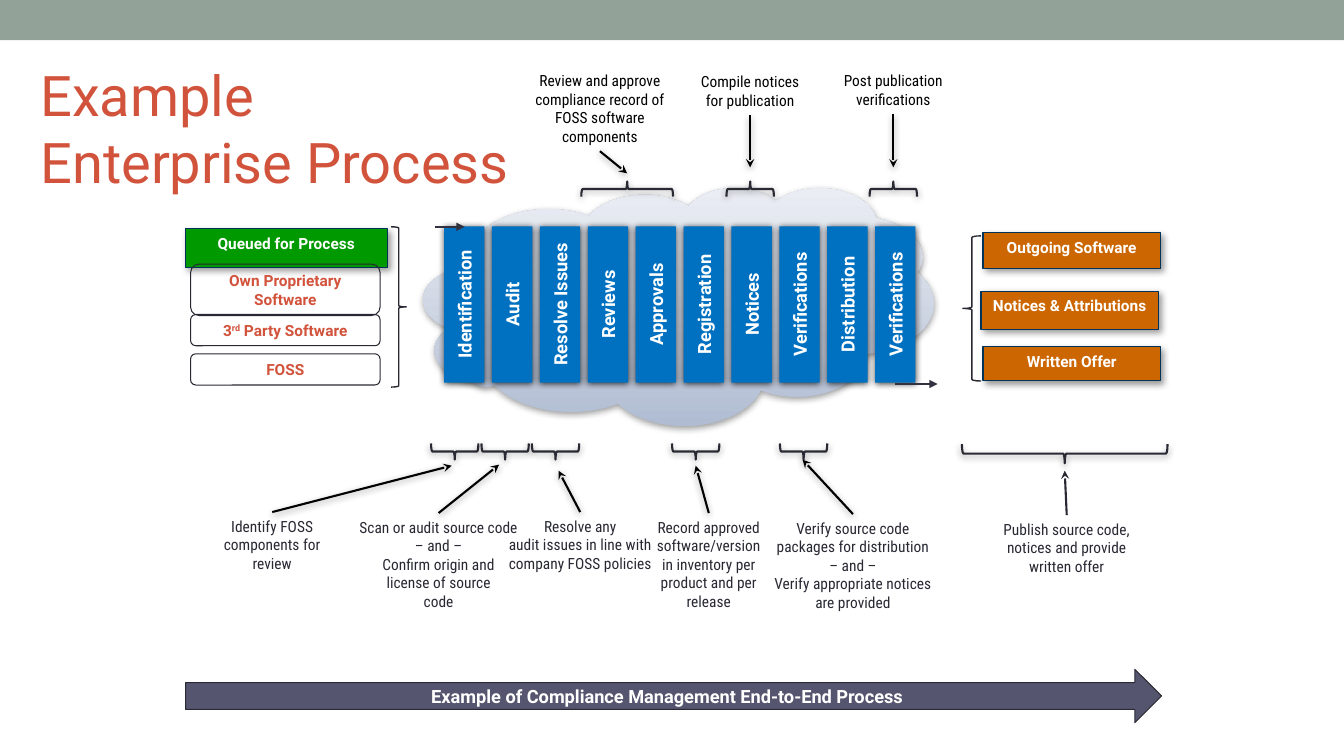
from copy import deepcopy
from lxml import etree
from pptx import Presentation
from pptx.dml.color import RGBColor
from pptx.enum.shapes import MSO_CONNECTOR, MSO_SHAPE
from pptx.enum.text import MSO_ANCHOR, MSO_AUTO_SIZE, PP_ALIGN
from pptx.oxml.ns import qn
from pptx.util import Inches, Pt

TOP, MIDDLE = MSO_ANCHOR.TOP, MSO_ANCHOR.MIDDLE
LEFT, CENTER = PP_ALIGN.LEFT, PP_ALIGN.CENTER
RECT, ROUNDED = MSO_SHAPE.RECTANGLE, MSO_SHAPE.ROUNDED_RECTANGLE
LEFT_BRACE, RIGHT_BRACE = MSO_SHAPE.LEFT_BRACE, MSO_SHAPE.RIGHT_BRACE
CLOUD, BLOCK_ARROW = MSO_SHAPE.CLOUD_CALLOUT, MSO_SHAPE.RIGHT_ARROW
STRAIGHT, NO_FIT = MSO_CONNECTOR.STRAIGHT, MSO_AUTO_SIZE.NONE
NOTE_TOP, NOTE_BOTTOM = 0, 2

THEME = {
    "band": "93A299", "accent": "D2533C", "ink": "292934", "black": "000000",
    "white": "FFFFFF", "queue": "009900", "output": "CC6600", "edge": "003359",
    "step": "0070C0", "flow": "31313F", "summary": "55556F",
    "cloud": [(0, "B0BCD2"), (0.35, "C8D0DF"), (1, "EAEDF3")],
    "face": "Roboto", "narrow": "Roboto Condensed",
    "title": 40, "heading": 13, "body": 11,
    "box_shadow": (40, 5, 3, 45), "soft_shadow": (38, 5, 1.6, 90),
    "step_shadow": (75, 5, 1, 90),
}
CELL = Inches(0.1)

deck = Presentation()
deck.slide_width, deck.slide_height = Inches(13.33), Inches(7.5)
slide = deck.slides.add_slide(deck.slide_layouts[5])


def draw(kind, box, fill=None, line=None, weight=0.75, shadow=None):
    edges = [int(cells * CELL) for cells in box]
    if kind is STRAIGHT:
        part = slide.shapes.add_connector(kind, *edges)
    else:
        part = slide.shapes.add_shape(kind, *edges)
        if fill:
            part.fill.solid()
            part.fill.fore_color.rgb = RGBColor.from_string(THEME[fill])
        else:
            part.fill.background()
    if line:
        part.line.color.rgb = RGBColor.from_string(THEME[line])
        part.line.width = Pt(weight)
    else:
        part.line.fill.background()
    properties = part._element.spPr
    if kind is STRAIGHT:
        etree.SubElement(properties.find(qn("a:ln")), qn("a:tailEnd"), type="triangle")
    effects = etree.SubElement(properties, qn("a:effectLst"))
    if shadow:
        alpha, blur, distance, angle = THEME[shadow]
        outer = etree.SubElement(
            effects, qn("a:outerShdw"), blurRad=str(Pt(blur)), dist=str(Pt(distance)),
            dir=str(angle * 60000), algn="ctr", rotWithShape="0")
        tint = etree.SubElement(outer, qn("a:srgbClr"), val=THEME["black"])
        etree.SubElement(tint, qn("a:alpha"), val=str(alpha * 1000))
    return part


def write(part, text, colour, size="body", face="face", bold=True,
          anchor=TOP, align=CENTER, margin=0.09):
    frame = part.text_frame
    frame.word_wrap = True
    frame.auto_size = NO_FIT
    frame.vertical_anchor = anchor
    frame.margin_left = frame.margin_right = Inches(margin)
    frame.margin_top = frame.margin_bottom = Inches(0.05)
    frame.text = text
    for paragraph in frame.paragraphs:
        paragraph.alignment = align
        pieces = paragraph.text.split("^")
        paragraph.text = pieces[0]
        for piece in pieces[1:]:
            paragraph.add_run().text = piece
        for order, run in enumerate(paragraph.runs):
            run.font.name = THEME[face]
            run.font.size = Pt(THEME[size])
            run.font.bold = bold
            run.font.color.rgb = RGBColor.from_string(THEME[colour])
            if order % 2:
                run._r.get_or_add_rPr().set("baseline", "30000")


draw(RECT, (0, 0, 133.3, 4), "band")

title = slide.shapes.title
title.left, title.top, title.width, title.height = (
    int(cells * CELL) for cells in (3, 5.5, 49.5, 16.9))
write(title, "Example Enterprise Process", "accent", "title",
      bold=False, align=LEFT, margin=0.1)

queue = draw(RECT, (18.4, 22.7, 20, 3.8), "queue", "edge", shadow="box_shadow")
write(queue, "Queued for Process", "white")

cloud = draw(CLOUD, (42, 18.6, 50.6, 23.6), shadow="soft_shadow")
cloud.adjustments[0], cloud.adjustments[1] = -0.28, 0.19
cloud.fill.gradient()
cloud.fill.gradient_angle = 90
stops = cloud._element.spPr.find(".//" + qn("a:gsLst"))
stops.insert(1, deepcopy(stops[0]))
for stop, (position, shade) in zip(cloud.fill.gradient_stops, THEME["cloud"]):
    stop.position = position
    stop.color.rgb = RGBColor.from_string(shade)

steps = ["Identification", "Audit", "Resolve Issues", "Reviews", "Approvals",
         "Registration", "Notices", "Verifications", "Distribution", "Verifications"]
for order, name in enumerate(steps):
    step = draw(RECT, (38.3 + 4.75 * order, 28.2, 15.5, 4), "step", shadow="step_shadow")
    step.rotation = 270
    write(step, name, "white", "heading", anchor=MIDDLE)

for name, top, height in [("Own Proprietary Software", 26.2, 5.1),
                          ("3^rd^ Party Software", 31.2, 3.1),
                          ("FOSS", 35.1, 3.1)]:
    source = draw(ROUNDED, (18.9, top, 18.8, height), line="ink")
    write(source, name, "accent", anchor=MIDDLE)

for name, left, top, height in [("Outgoing Software", 97.5, 23.1, 3.5),
                                ("Notices & Attributions", 97.3, 28.9, 3.8),
                                ("Written Offer", 97.5, 34.4, 3.4)]:
    output = draw(RECT, (left, top, 17.6, height), "output", "edge", shadow="box_shadow")
    write(output, name, "white")

for start, end, row in [(43.1, 46.1, 22.5), (88.8, 93, 38.1)]:
    draw(STRAIGHT, (start, row, end, row), line="flow", weight=1.5)

draw(LEFT_BRACE, (95.5, 23.4, 1.8, 14.4), line="ink", weight=1)
draw(RIGHT_BRACE, (38.8, 22.5, 1.5, 15.9), line="ink", weight=1)

braces = [(RIGHT_BRACE, middle, 44.8, 4.7, 1.6) for middle in (45.1, 50.1, 55.1, 69, 79.7)]
braces += [(RIGHT_BRACE, 105.6, 45, 20.4, 1.9), (LEFT_BRACE, 62.2, 18.75, 9.1, 1.5),
           (LEFT_BRACE, 74.4, 18.75, 4.7, 1.5), (LEFT_BRACE, 88.6, 18.75, 4.7, 1.5)]
for kind, middle, row, span, depth in braces:
    brace = draw(kind, (middle - depth / 2, row - span / 2, depth, span),
                 line="ink", weight=1.5, shadow="soft_shadow")
    brace.rotation = 90

notes = [
    ("Identify FOSS components for review",
     (21, 50.8, 12, 6.6), (44.8, 46.2), NOTE_TOP),
    ("Scan or audit source code\n– and –\nConfirm origin and\nlicense of source\ncode",
     (34.4, 50.9, 18.2, 10.3), (49.5, 46.1), NOTE_TOP),
    ("Resolve any\naudit issues in line with\ncompany FOSS policies",
     (49.4, 50.8, 16.3, 6.6), (55.4, 46.7), NOTE_TOP),
    ("Record approved\nsoftware/version\nin inventory per\nproduct and per\nrelease",
     (64, 50.9, 12.6, 12.1), (69, 46.2), NOTE_TOP),
    ("Verify source code packages for distribution\n– and –\n"
     "Verify appropriate notices are provided",
     (75.8, 51, 17.6, 12.1), (79.6, 45.6), NOTE_TOP),
    ("Publish source code,\nnotices and provide written offer",
     (97, 51.1, 17.6, 6.6), (105.6, 46.7), NOTE_TOP),
    ("Review and approve\ncompliance record of FOSS software components",
     (50.9, 6.6, 17.2, 8.4), (62.2, 17.2), NOTE_BOTTOM),
    ("Compile notices\nfor publication",
     (65.8, 6.7, 17.2, 4.7), (74.4, 16.6), NOTE_BOTTOM),
    ("Post publication\nverifications",
     (80, 6.6, 17.2, 4.7), (88.6, 16.6), NOTE_BOTTOM),
]
for text, box, tip, side in notes:
    note = slide.shapes.add_textbox(*(int(cells * CELL) for cells in box))
    write(note, text, "ink" if side == NOTE_TOP else "black",
          face="narrow", bold=False, margin=0.1)
    publishing = text.startswith("Publish")
    pointer = draw(STRAIGHT, tip + tip, line="ink" if publishing else "black",
                   weight=1.5, shadow=None if publishing else "soft_shadow")
    pointer.begin_connect(note, side)
    pointer._element.spPr.find(".//" + qn("a:tailEnd")).set("type", "stealth")

summary = draw(BLOCK_ARROW, (18.4, 66.4, 96.8, 5.3), "summary", "ink")
write(summary, "Example of Compliance Management End-to-End Process", "white", "heading")
summary.text_frame.paragraphs[0].line_spacing = 0.93

deck.save("out.pptx")
